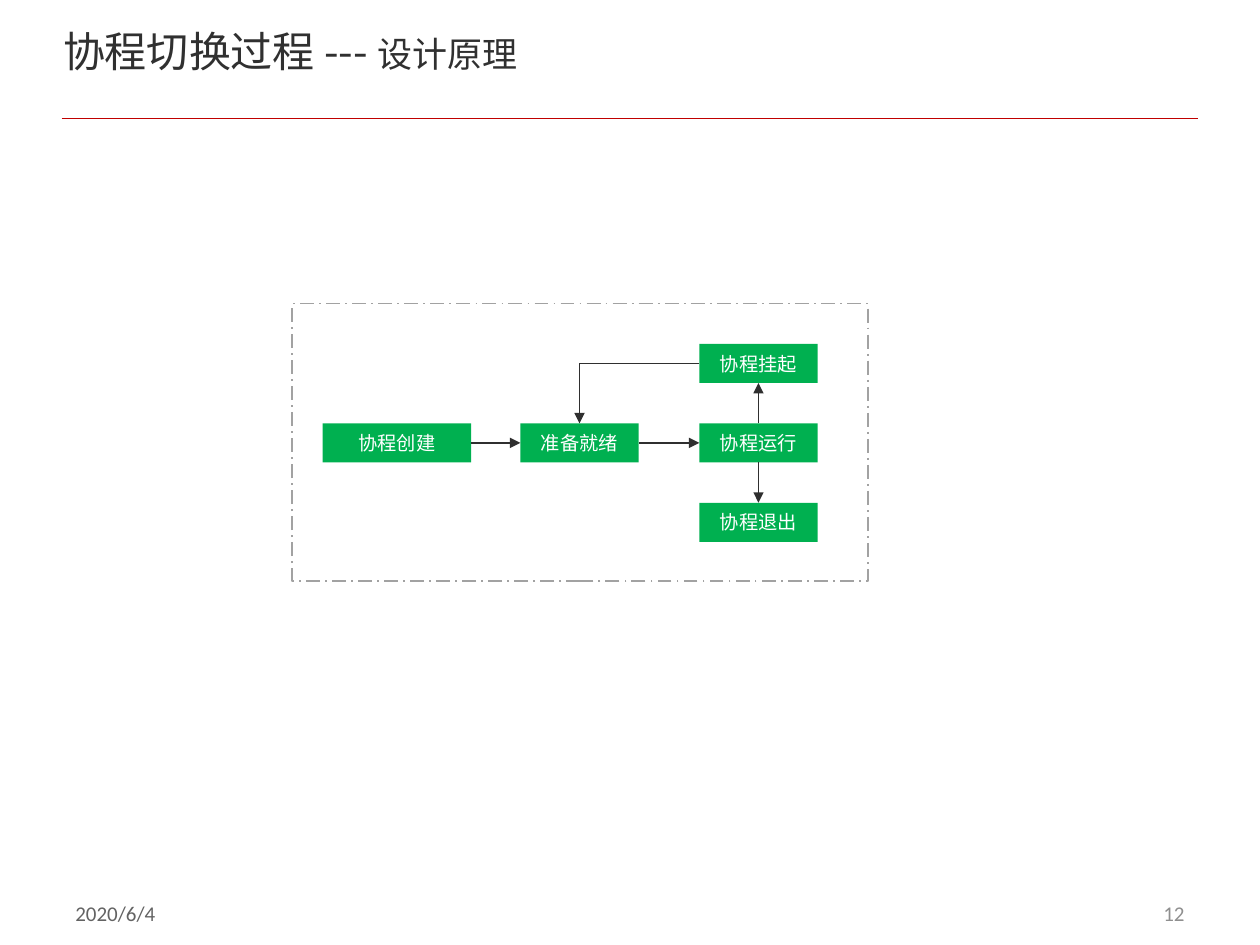
from dataclasses import dataclass
from pptx import Presentation
from pptx.dml.color import RGBColor
from pptx.enum import dml, shapes, text
from pptx.oxml.ns import qn
from pptx.util import Inches, Pt
from lxml import etree


@dataclass(frozen=True)
class Theme:
    latin: str = "Calibri"
    cjk: str = "Noto Sans CJK SC"
    title: str = "303030"
    rule: str = "C00000"
    node: str = "00B050"
    label: str = "FFFFFF"
    arrow: str = "2F2F2F"
    frame: str = "A2A2A2"
    date: str = "636363"
    number: str = "8F8F8F"
    head: int = 24
    sub: int = 20
    small: int = 12
    tag: int = 11


THEME = Theme()
TOP, LEFT, BOTTOM, RIGHT = range(4)  # connection sites of a rectangle
ALIGN = text.PP_ALIGN
ANCHOR = text.MSO_ANCHOR


def box(x, y, w, h):
    return [Inches(v) for v in (x, y, w, h)]


def style(run, size, color, face=THEME.latin):
    font = run.font
    font.size, font.name = Pt(size), face
    font.color.rgb = RGBColor.from_string(color)
    east = etree.SubElement(font._element, qn("a:ea"))
    east.set("typeface", THEME.cjk)


def stroke(line, color, width):
    line.color.rgb = RGBColor.from_string(color)
    line.width = Pt(width)


def add_title(slide, head, sub):
    title = slide.shapes.title
    title.left, title.top, title.width, title.height = box(0.5, 0.2, 7.73, 0.7)
    frame = title.text_frame
    frame.margin_left = frame.margin_right = 0
    frame.margin_top = frame.margin_bottom = 0
    frame.vertical_anchor = ANCHOR.TOP
    para = frame.paragraphs[0]
    para.alignment = ALIGN.LEFT
    for words, size in ((head, THEME.head), (sub, THEME.sub)):
        run = para.add_run()
        run.text = words
        style(run, size, THEME.title, THEME.cjk)


def add_foot(slide, words, x, color, align):
    frame = slide.shapes.add_textbox(*box(x, 6.98, 2.33, 0.53)).text_frame
    frame.word_wrap = True
    frame.vertical_anchor = ANCHOR.MIDDLE
    frame.text = words
    para = frame.paragraphs[0]
    para.alignment = align
    style(para.runs[0], THEME.small, color)


def add_rect(slide, x, y, w, h):
    rect = slide.shapes.add_shape(shapes.MSO_SHAPE.RECTANGLE, *box(x, y, w, h))
    rect.shadow.inherit = False
    return rect


def add_node(slide, words, x, y, w=0.94):
    node = add_rect(slide, x, y, w, 0.31)
    node.fill.solid()
    node.fill.fore_color.rgb = RGBColor.from_string(THEME.node)
    node.line.fill.background()
    frame = node.text_frame
    frame.margin_top = frame.margin_bottom = 0
    frame.vertical_anchor = ANCHOR.MIDDLE
    frame.text = words
    para = frame.paragraphs[0]
    para.alignment = ALIGN.CENTER
    style(para.runs[0], THEME.tag, THEME.label)
    return node


def add_frame(slide):
    frame = add_rect(slide, 2.32, 2.41, 4.57, 2.2)
    frame.fill.background()
    stroke(frame.line, THEME.frame, 1)
    frame.line.dash_style = dml.MSO_LINE.LONG_DASH_DOT


def add_line(slide, color, width, ends=(0, 0, 0, 0), kind="STRAIGHT"):
    line = slide.shapes.add_connector(shapes.MSO_CONNECTOR[kind], *box(*ends))
    stroke(line.line, color, width)
    etree.SubElement(line._element.spPr, qn("a:effectLst"))
    return line


def add_arrow(slide, start, out, end, into, bent=False):
    """Join two nodes at the given sites; a bent arrow turns one corner."""
    kind = "ELBOW" if bent else "STRAIGHT"
    arrow = add_line(slide, THEME.arrow, 0.75, kind=kind)
    arrow.begin_connect(start, out)
    arrow.end_connect(end, into)
    if bent:
        arrow._element.spPr.find(qn("a:prstGeom")).set("prst", "bentConnector2")
    tail = etree.SubElement(arrow.line._get_or_add_ln(), qn("a:tailEnd"))
    tail.set("type", "triangle")


def add_flow(slide):
    mid, step, col = 3.36, 0.63, 5.55
    ready = add_node(slide, "准备就绪", 4.13, mid)
    create = add_node(slide, "协程创建", 2.56, mid, 1.18)
    run = add_node(slide, "协程运行", col, mid)
    pause = add_node(slide, "协程挂起", col, mid - step)
    leave = add_node(slide, "协程退出", col, mid + step)
    add_arrow(slide, create, RIGHT, ready, LEFT)
    add_arrow(slide, ready, RIGHT, run, LEFT)
    add_arrow(slide, run, BOTTOM, leave, TOP)
    add_arrow(slide, run, TOP, pause, BOTTOM)
    add_arrow(slide, pause, LEFT, ready, TOP, bent=True)


def main():
    deck = Presentation()
    deck.slide_width, deck.slide_height = Inches(10), Inches(7.5)
    slide = deck.slides.add_slide(deck.slide_layouts[5])
    add_line(slide, THEME.rule, 1, (0.49, 0.94, 9.51, 0.94))
    add_foot(slide, "2020/6/4", 0.5, THEME.date, ALIGN.LEFT)
    add_foot(slide, "12", 7.17, THEME.number, ALIGN.RIGHT)
    add_title(slide, "协程切换过程 --- ", "设计原理")
    add_flow(slide)
    add_frame(slide)
    deck.save("out.pptx")


if __name__ == "__main__":
    main()
